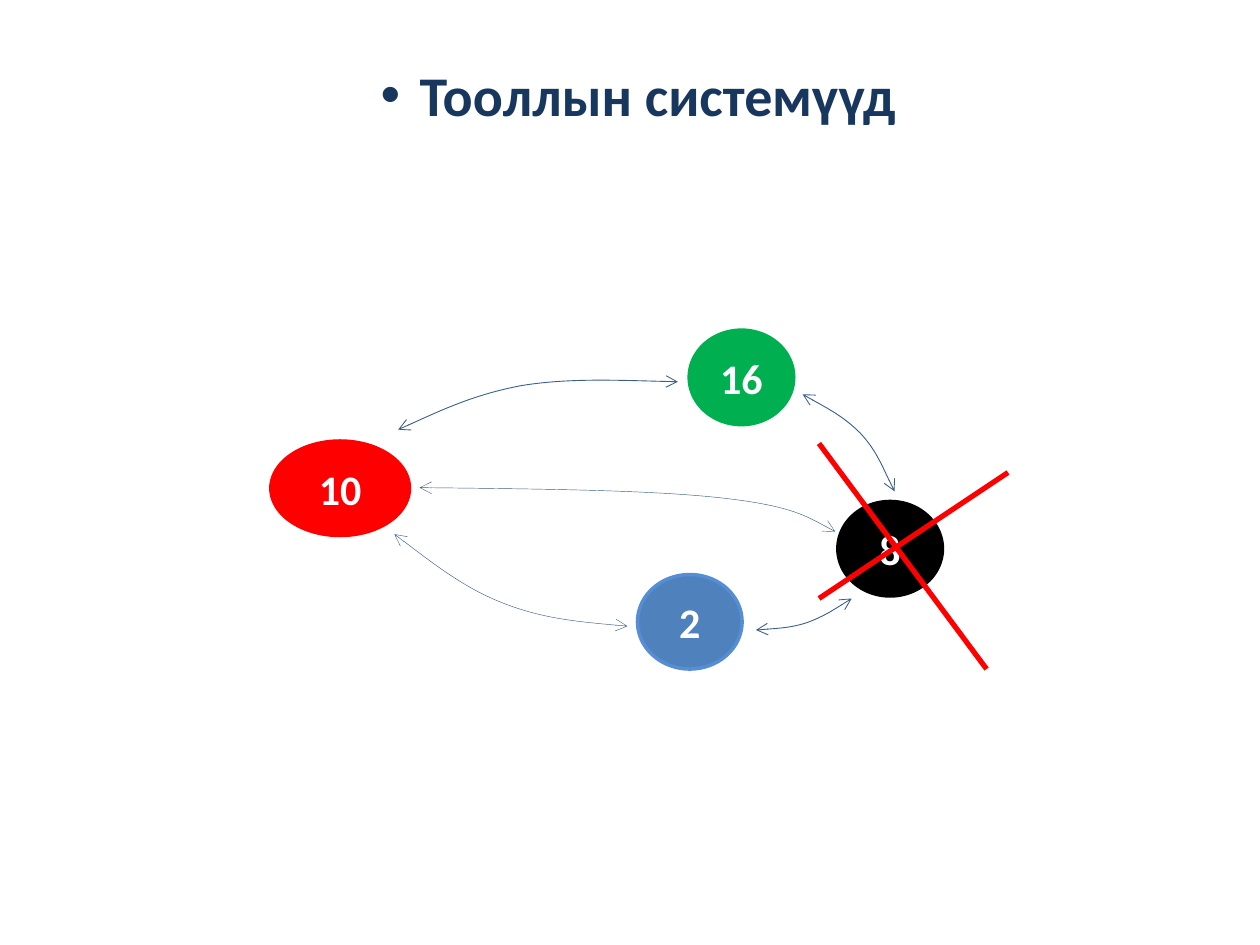
from dataclasses import dataclass
from pptx import Presentation
from pptx.dml.color import RGBColor as RGB
from pptx.enum.shapes import MSO_CONNECTOR as Link, MSO_SHAPE as Shape
from pptx.enum.text import MSO_ANCHOR as Anchor, MSO_AUTO_SIZE as Fit, PP_ALIGN as Align
from pptx.oxml.ns import qn
from pptx.oxml.xmlchemy import OxmlElement as Node
from pptx.util import Inches, Pt


@dataclass(frozen=True)
class Theme:
    font: str = "Calibri"
    head: int = 32
    label: int = 24
    ink: str = "17375E"
    white: str = "FFFFFF"
    red: str = "FF0000"
    green: str = "00B050"
    blue: str = "4F81BD"
    rim: str = "558ED5"
    black: str = "000000"
    arc: str = "3A5F8C"


@dataclass(frozen=True)
class Box:
    """A region divided into equal columns and rows."""
    left: int
    top: int
    width: int
    height: int
    cols: int = 1
    rows: int = 1

    def size(self, x, y):
        return round(self.width * x / self.cols), round(self.height * y / self.rows)

    def spot(self, x, y):
        dx, dy = self.size(x, y)
        return self.left + dx, self.top + dy


THEME = Theme()
HIGH = 7.5  # rows of every oval

# name: left, top, width, fill, line
OVALS = {
    "8": (46.5, 14.8, 8.3, THEME.black, THEME.black),
    "10": (1.5, 10, 11, THEME.red, THEME.red),
    "2": (30.6, 20.6, 8.3, THEME.blue, THEME.rim),
    "16": (34.7, 1.2, 8.3, THEME.green, THEME.green),
}
CROSS = [((45, 10.2), (58.3, 28.1)), ((60, 12.5), (45, 22.5))]
# line width, then a start point and three points for each Bézier piece
ARCS = [
    (0.25, [(11.3, 17.4), (14.1, 19.5), (16.9, 21.7), (20, 22.9),
            (23.1, 24.1), (26.4, 24.4), (29.8, 24.7)]),
    (0.25, [(46.3, 17.2), (44.5, 16.2), (42.6, 15.1), (37.1, 14.5),
            (31.6, 13.9), (22.5, 13.8), (13.3, 13.7)]),
    (0.5, [(40, 25), (41.4, 24.9), (42.9, 24.8), (44.1, 24.4),
           (45.4, 23.9), (46.5, 23.2), (47.6, 22.5)]),
    (0.5, [(33.8, 5.3), (29.5, 5.2), (25.1, 5), (21.4, 5.6),
           (17.7, 6.3), (14.7, 7.7), (11.6, 9.1)]),
    (0.5, [(43.7, 6.3), (45.3, 7.2), (47, 8.1), (48.3, 9.4),
           (49.5, 10.7), (50.2, 12.4), (51, 14)]),
]


def write(para, text, size, color):
    run = para.add_run()
    run.text = text
    font = run.font
    font.name, font.size, font.bold = THEME.font, Pt(size), True
    font.color.rgb = RGB.from_string(color)


def stroke(line, color, width):
    line.color.rgb = RGB.from_string(color)
    line.width = Pt(width)


def title(slide, box):
    shape = slide.shapes.title
    shape.left, shape.top, shape.width, shape.height = (
        box.left, box.top, box.width, box.height)
    frame = shape.text_frame
    frame.word_wrap, frame.auto_size = False, Fit.SHAPE_TO_FIT_TEXT
    frame.vertical_anchor = Anchor.TOP
    para = frame.paragraphs[0]
    para.alignment = Align.LEFT
    props = para._p.get_or_add_pPr()
    indent = Inches(0.31)
    props.set("marL", str(indent))
    props.set("indent", str(-indent))
    for tag, key, value in (("a:buFont", "typeface", "Arial"), ("a:buChar", "char", "•")):
        node = Node(tag)
        node.set(key, value)
        props.append(node)
    write(para, "Тооллын системүүд", THEME.head, THEME.ink)


def oval(slide, box, name):
    x, y, wide, fill, rim = OVALS[name]
    shape = slide.shapes.add_shape(Shape.OVAL, *box.spot(x, y), *box.size(wide, HIGH))
    shape.shadow.inherit = False
    shape.fill.solid()
    shape.fill.fore_color.rgb = RGB.from_string(fill)
    stroke(shape.line, rim, 2)
    frame = shape.text_frame
    frame.vertical_anchor = Anchor.MIDDLE
    para = frame.paragraphs[0]
    para.alignment = Align.CENTER
    write(para, name, THEME.label, THEME.white)


def cross(slide, box):
    for start, end in CROSS:
        line = slide.shapes.add_connector(
            Link.STRAIGHT, *box.spot(*start), *box.spot(*end))
        stroke(line.line, THEME.red, 3)
        line._element.spPr.append(Node("a:effectLst"))


def bend(shape):
    """Turn every three straight pieces of the outline into one Bézier piece."""
    steps = list(shape._element.iter(qn("a:lnTo")))
    for i in range(0, len(steps), 3):
        curve = Node("a:cubicBezTo")
        steps[i].addprevious(curve)
        for step in steps[i:i + 3]:
            curve.append(step[0])
            step.getparent().remove(step)


def arc(slide, box, width, points):
    start, *rest = [box.spot(*point) for point in points]
    build = slide.shapes.build_freeform(*start)
    build.add_line_segments(rest, close=False)
    shape = build.convert_to_shape()
    bend(shape)
    shape.shadow.inherit = False
    shape.fill.background()
    stroke(shape.line, THEME.arc, width)
    for tag in ("a:headEnd", "a:tailEnd"):
        tip = Node(tag)
        tip.set("type", "arrow")
        shape.line._get_or_add_ln().append(tip)


def diagram(slide, box):
    first, *others = OVALS
    oval(slide, box, first)
    cross(slide, box)
    for name in others:
        oval(slide, box, name)
    for width, points in ARCS:
        arc(slide, box, width, points)


def main():
    deck = Presentation()
    deck.slide_width, deck.slide_height = Inches(10), Inches(7.5)
    slide = deck.slides.add_slide(deck.slide_layouts[5])
    page = Box(0, 0, deck.slide_width, deck.slide_height, 100, 75)
    title(slide, Box(*page.spot(29.2, 4.3), *page.size(43.5, 6.4)))
    diagram(slide, Box(*page.spot(20, 25), *page.size(60, 30), 60, 30))
    deck.save("out.pptx")


if __name__ == "__main__":
    main()
